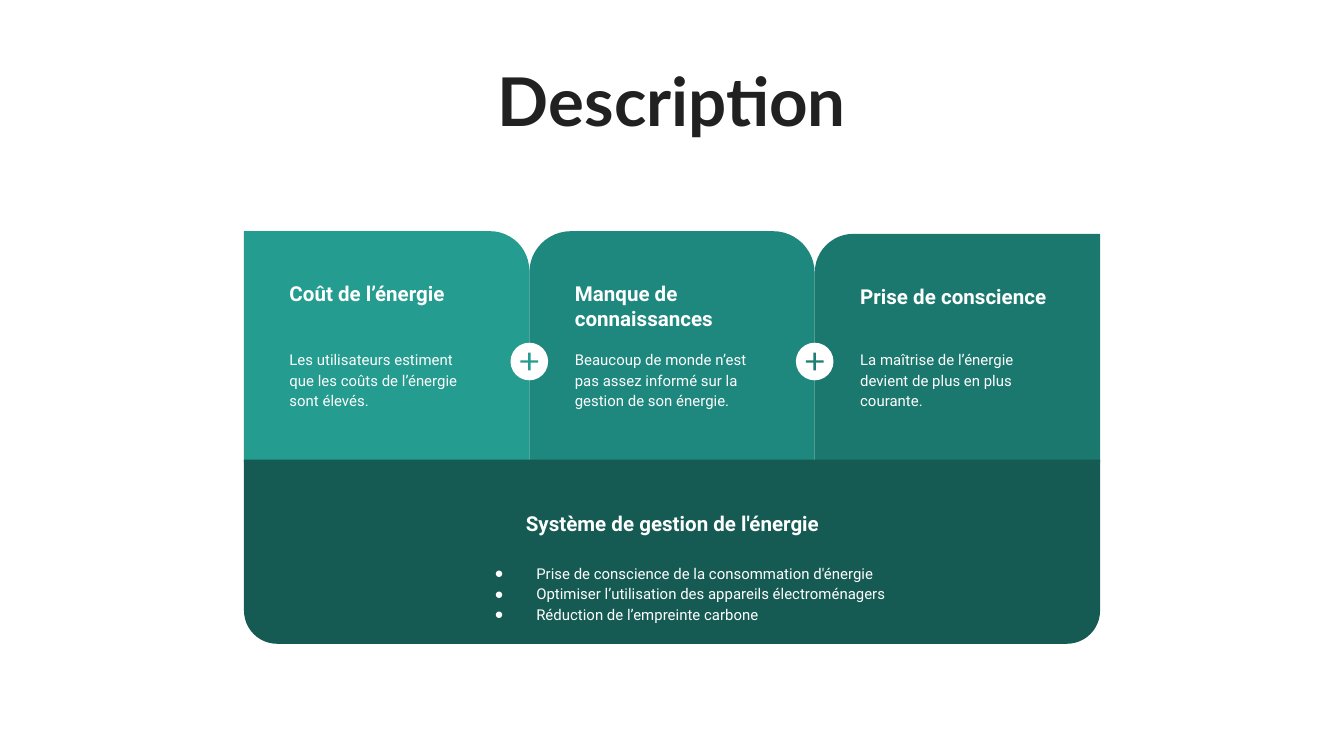
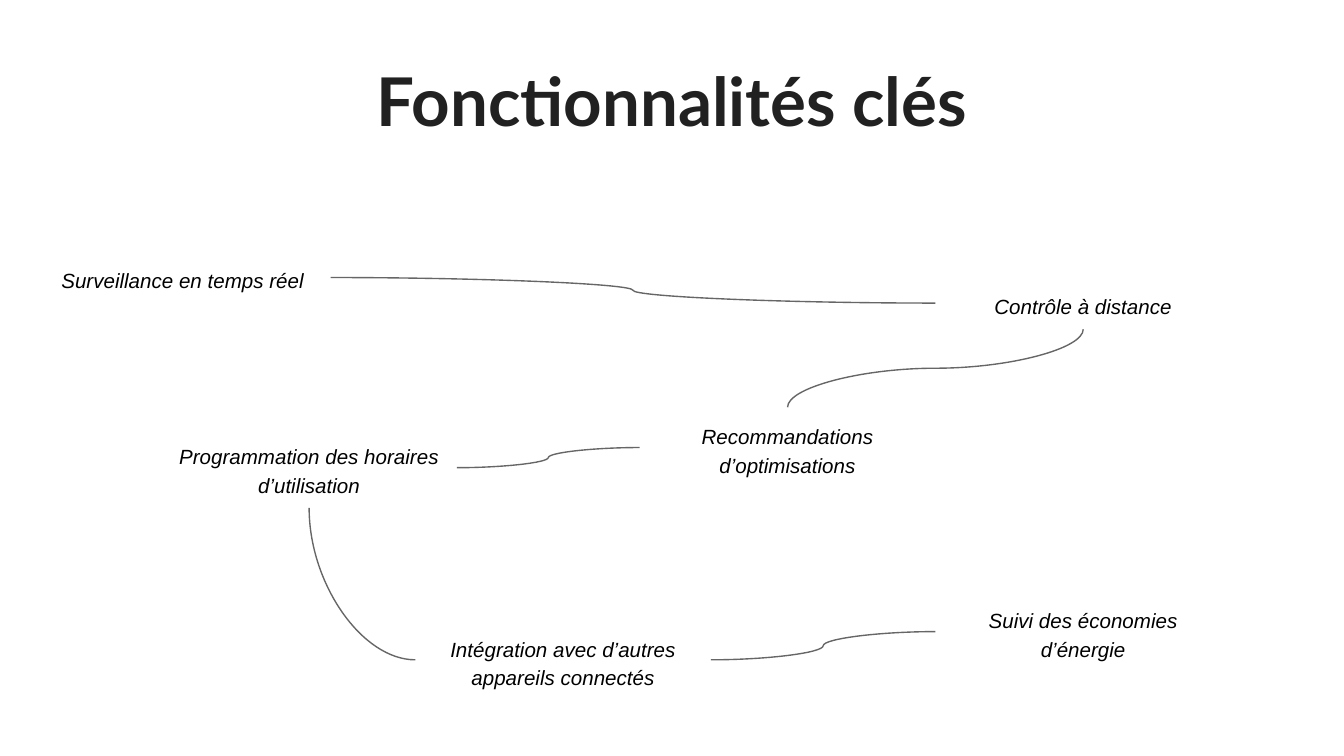
from lxml import etree
from pptx import Presentation
from pptx.dml.color import RGBColor
from pptx.enum import shapes as kinds, text as txt
from pptx.oxml import ns
from pptx.util import Inches, Pt

COLORS = {
    "title": "212121", "white": "FFFFFF", "black": "000000", "line": "666666",
    "card1": "249C90", "card2": "1F887E", "card3": "1B786E", "panel": "155B54",
    "plus2": "1D7E74",
}
SHAPE = kinds.MSO_SHAPE
CENTER = txt.PP_ALIGN.CENTER
SLIDE_WIDTH = 10
SLIDE_HEIGHT = SLIDE_WIDTH * 9 / 16

# Slide 1: heading, text, colour, outline, adjustments, top, mirrored
CARDS = [
    ("Coût de l’énergie",
     "Les utilisateurs estiment que les coûts de l’énergie sont élevés.",
     "card1", SHAPE.ROUND_1_RECTANGLE, [0.17], 1.72, False),
    ("Manque de connaissances",
     "Beaucoup de monde n’est pas assez informé sur la gestion de son énergie.",
     "card2", SHAPE.ROUND_2_SAME_RECTANGLE, [0.18, 0], 1.72, False),
    ("Prise de conscience",
     "La maîtrise de l’énergie devient de plus en plus courante.",
     "card3", SHAPE.ROUND_1_RECTANGLE, [0.17], 1.74, True),
]
PLUS_COLORS = ["card1", "plus2"]
SYSTEM_HEADING = "Système de gestion de l'énergie"
SYSTEM_POINTS = [
    "Prise de conscience de la consommation d'énergie",
    "Optimiser l’utilisation des appareils électroménagers",
    "Réduction de l’empreinte carbone",
]
PANEL_WIDTH = 6.37
CARD_LEFT = (SLIDE_WIDTH - PANEL_WIDTH) / 2
CARD_WIDTH = PANEL_WIDTH / len(CARDS)
CARD_BOTTOM = 3.44
PLUS_MIDDLE = 2.69

# Slide 2: label -> text, left, top, height
FEATURES = {
    "monitoring": ("Surveillance en temps réel", 0.26, 1.87, 0.39),
    "schedule": ("Programmation des horaires d’utilisation", 1.2, 3.18, 0.6),
    "remote": ("Contrôle à distance", 6.96, 2.06, 0.39),
    "savings": ("Suivi des économies d’énergie", 6.96, 4.4, 0.6),
    "devices": ("Intégration avec d’autres appareils connectés", 3.09, 4.61, 0.6),
    "advice": ("Recommandations d’optimisations", 4.76, 3.03, 0.6),
}
FEATURE_WIDTH = 2.2
LINKS = [
    ("monitoring", "right", "remote", "left"),
    ("remote", "bottom", "advice", "top"),
    ("advice", "left", "schedule", "right"),
    ("schedule", "bottom", "devices", "left"),
    ("devices", "right", "savings", "left"),
]


def color(name):
    return RGBColor.from_string(COLORS[name])


def place(box, left, top, width, height):
    box.left, box.top = Inches(left), Inches(top)
    box.width, box.height = Inches(width), Inches(height)


def write(box, lines, size, font, ink, bold=None, italic=None, align=None,
          spacing=None, after=0):
    frame = box.text_frame
    frame.word_wrap = True
    frame.auto_size = txt.MSO_AUTO_SIZE.NONE
    frame.vertical_anchor = txt.MSO_ANCHOR.TOP
    frame.margin_left = frame.margin_right = Inches(0.1)
    frame.margin_top = frame.margin_bottom = Inches(0.1)
    frame.text = "\n".join(lines)
    for para in frame.paragraphs:
        para.alignment = align
        para.line_spacing = spacing
        para.space_before, para.space_after = Pt(0), Pt(after)
        para.font.size, para.font.name = Pt(size), font
        para.font.bold, para.font.italic = bold, italic
        para.font.color.rgb = color(ink)


def add_text(slide, at, line, *style, **options):
    box = slide.shapes.add_textbox(*map(Inches, at))
    write(box, [line], *style, **options)
    return box


def add_shape(slide, kind, at, fill, adjustments=()):
    shape = slide.shapes.add_shape(kind, *map(Inches, at))
    shape.shadow.inherit = False
    shape.fill.solid()
    shape.fill.fore_color.rgb = color(fill)
    shape.line.fill.background()
    for index, value in enumerate(adjustments):
        shape.adjustments[index] = value
    return shape


def add_bullets(box):
    for para in box.text_frame.paragraphs:
        props = para._p.get_or_add_pPr()
        props.set("marL", str(Inches(0.5)))
        props.set("indent", str(Inches(-0.31)))
        tint = etree.SubElement(props, ns.qn("a:buClr"))
        etree.SubElement(tint, ns.qn("a:srgbClr"), val=COLORS["white"])
        etree.SubElement(props, ns.qn("a:buChar"), char="●")
        # Bullet elements come before the default run properties
        props.append(props.find(ns.qn("a:defRPr")))


def add_slide(deck, layout, title):
    slide = deck.slides.add_slide(deck.slide_layouts[layout])
    place(slide.shapes.title, 0.33, 0.34, 9.34, 0.82)
    write(slide.shapes.title, [title], 36, "Lato", "title", bold=True, align=CENTER)
    return slide


def side_point(label, side):
    _, left, top, height = FEATURES[label]
    across, down = {"left": (0, 0.5), "right": (1, 0.5),
                    "top": (0.5, 0), "bottom": (0.5, 1)}[side]
    return left + across * FEATURE_WIDTH, top + down * height


def add_link(slide, start, start_side, end, end_side):
    (x1, y1), (x2, y2) = side_point(start, start_side), side_point(end, end_side)
    leaves_down = start_side == "bottom"
    if leaves_down:
        # A quarter turn about the centre makes the curve start vertically
        mid_x, mid_y = (x1 + x2) / 2, (y1 + y2) / 2
        half_x, half_y = (x2 - x1) / 2, (y2 - y1) / 2
        x1, y1 = mid_x - half_y, mid_y + half_x
        x2, y2 = mid_x + half_y, mid_y - half_x
    link = slide.shapes.add_connector(
        kinds.MSO_CONNECTOR.CURVE, *map(Inches, (x1, y1, x2, y2)))
    link.line.color.rgb = color("line")
    link.line.width = Pt(0.75)
    props = link.element.spPr
    etree.SubElement(props, ns.qn("a:effectLst"))
    if leaves_down:
        props.find(ns.qn("a:xfrm")).set("rot", str(90 * 60000))
        if end_side == "left":
            props.find(ns.qn("a:prstGeom")).set("prst", "curvedConnector2")


def build_description(deck):
    slide = add_slide(deck, 1, "Description")

    # Cards side by side
    for index, (heading, body, fill, kind, adjust, top, mirrored) in enumerate(CARDS):
        left = CARD_LEFT + index * CARD_WIDTH
        card = add_shape(slide, kind, (left, top, CARD_WIDTH, CARD_BOTTOM - top),
                         fill, adjust)
        if mirrored:
            card.element.spPr.find(ns.qn("a:xfrm")).set("flipH", "1")
        add_text(slide, (left + 0.24, top + 0.27, 1.59, 0.5), heading,
                 11, "Roboto", "white", bold=True)
        add_text(slide, (left + 0.24, 2.49, 1.59, 0.56), body,
                 8, "Roboto", "white", spacing=1.15, after=16)

    # Plus signs on the seams
    for index, ink in enumerate(PLUS_COLORS, start=1):
        seam = CARD_LEFT + index * CARD_WIDTH
        for kind, size, fill, adjust in ((SHAPE.OVAL, 0.28, "white", []),
                                         (SHAPE.MATH_PLUS, 0.18, ink, [0.1])):
            add_shape(slide, kind, (seam - size / 2, PLUS_MIDDLE - size / 2, size, size),
                      fill, adjust)

    # Bottom panel
    panel = add_shape(slide, SHAPE.ROUND_2_SAME_RECTANGLE,
                      (CARD_LEFT, 3.42, PANEL_WIDTH, 1.37), "panel", [0.18, 0])
    panel.rotation = 180
    add_text(slide, (2.83, 3.7, 4.35, 0.38), SYSTEM_HEADING,
             11, "Roboto", "white", bold=True, align=CENTER)
    points = slide.placeholders[1]
    place(points, 3.39, 4.08, 3.45, 0.7)
    write(points, SYSTEM_POINTS, 8, "Roboto", "white", spacing=1.15)
    add_bullets(points)
    # The list lies in front of the panel
    points.element.getparent().append(points.element)


def build_features(deck):
    slide = add_slide(deck, 5, "Fonctionnalités clés")
    for line, left, top, height in FEATURES.values():
        box = add_text(slide, (left, top, FEATURE_WIDTH, height), line,
                       11, "Arial", "black", italic=True, align=CENTER, spacing=1.15)
        box.text_frame.auto_size = txt.MSO_AUTO_SIZE.SHAPE_TO_FIT_TEXT
    for link in LINKS:
        add_link(slide, *link)


def main():
    deck = Presentation()
    deck.slide_width, deck.slide_height = Inches(SLIDE_WIDTH), Inches(SLIDE_HEIGHT)
    build_description(deck)
    build_features(deck)
    deck.save("out.pptx")


if __name__ == "__main__":
    main()
